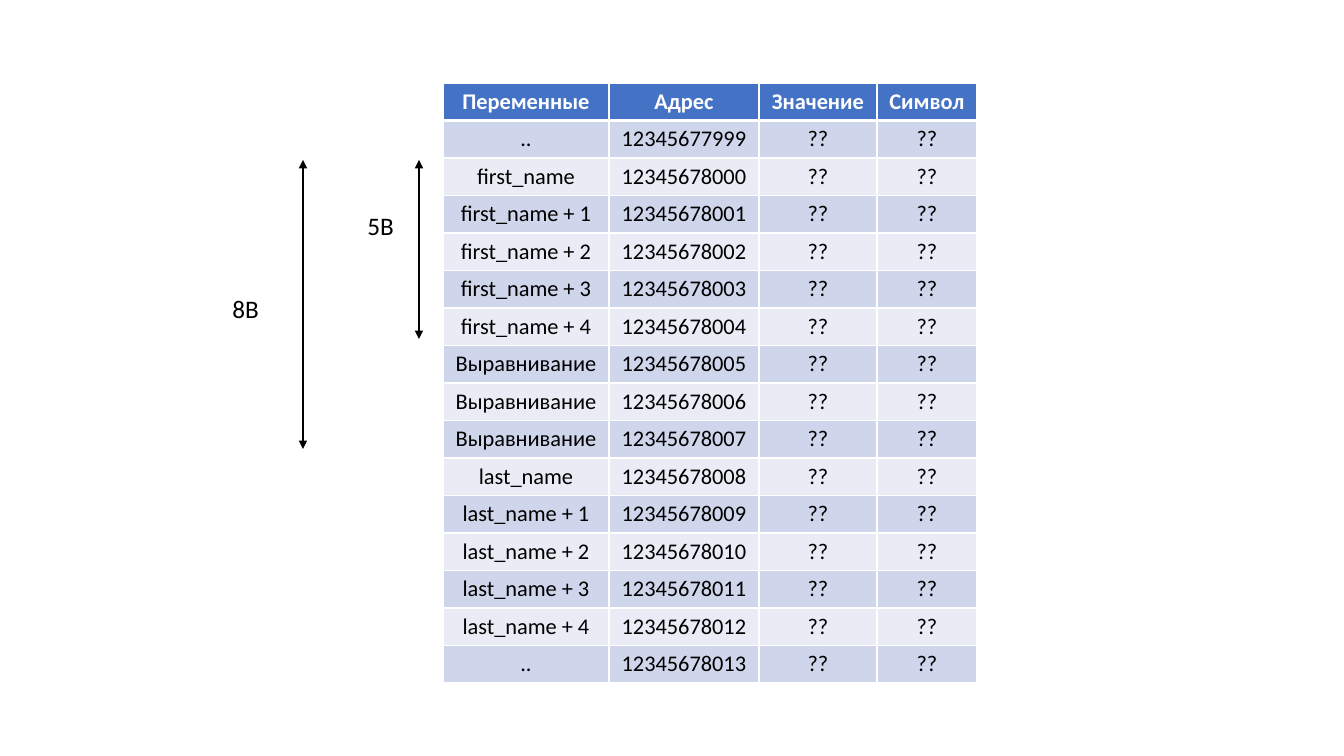
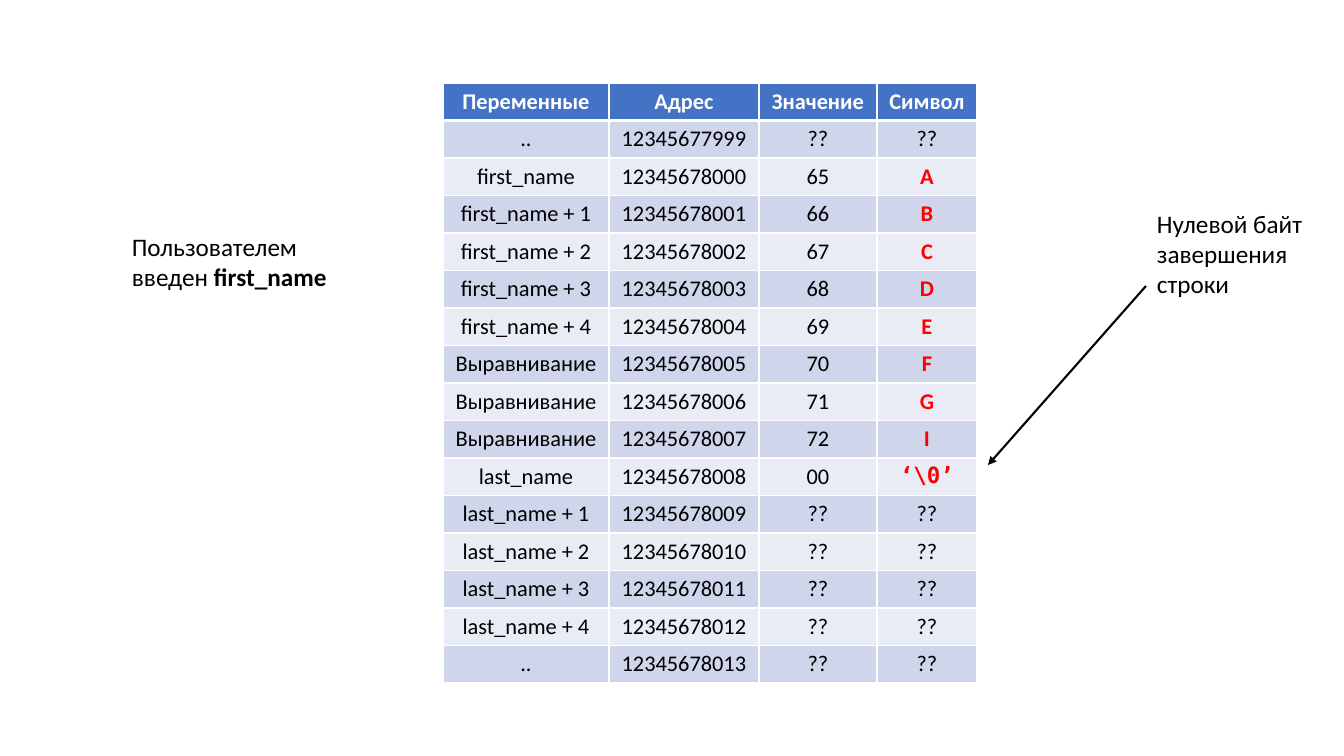
from lxml.etree import SubElement
from pptx import Presentation
from pptx.dml.color import RGBColor
from pptx.enum.shapes import MSO_CONNECTOR
from pptx.enum.text import MSO_AUTO_SIZE, PP_ALIGN
from pptx.oxml import parse_xml
from pptx.oxml.ns import nsdecls, qn
from pptx.util import Pt

EMU_PER_PX = 914400 / 100.8
BLACK, WHITE, RED = "000000", "FFFFFF", "FF0000"
HEADER_FILL = "4472C4"
BAND_FILLS = ["E9EBF5", "CFD5EA"]
FONT, CODE_FONT = "Calibri", "DejaVu Sans Mono"
color = RGBColor.from_string


def px(*lengths):
    """Turn pixel lengths into a list of EMU lengths."""
    return [round(length * EMU_PER_PX) for length in lengths]


def write(para, text, size=18, font=FONT, fill=BLACK, bold=False, align=None):
    """Append one formatted span to a paragraph."""
    para.alignment = align
    span = para.add_run()
    span.text = text
    span.font.size = Pt(size)
    span.font.name = font
    span.font.color.rgb = color(fill)
    span.font.bold = bold


HEADERS = ["Переменные", "Адрес", "Значение", "Символ"]
COLUMN_WIDTHS = [166, 150, 118, 100]
ROW_HEIGHT = 37
TABLE_LEFT, TABLE_TOP = 443, 83
UNKNOWN = "??"
OFFSETS = ["", " + 1", " + 2", " + 3", " + 4"]
VARIABLES = [
    "..",
    *["first_name" + offset for offset in OFFSETS],
    *["Выравнивание"] * 3,
    *["last_name" + offset for offset in OFFSETS],
    "..",
]
ADDRESSES = [12345677999, *range(12345678000, 12345678014)]
BYTES = [*zip(map(str, range(65, 73)), "ABCDEFGI"), ("00", r"‘\0’")]

# Arrows: start x, start y, end x, end y, head at the start.
# Labels: left, top, width, height, alignment, (text, bold) spans.
SLIDES = [
    {
        "bytes": [],
        "arrows": [(419, 160, 419, 339, True), (303, 160, 303, 449, True)],
        "labels": [
            (341, 205, 79, 40, PP_ALIGN.CENTER, [("5B", False)]),
            (206, 288, 79, 40, PP_ALIGN.CENTER, [("8B", False)]),
        ],
    },
    {
        "bytes": BYTES,
        "arrows": [(1146, 286, 988, 465, False)],
        "labels": [
            (122, 226, 230, 72, PP_ALIGN.LEFT,
             [("Пользователем введен ", False), ("first_name", True)]),
            (1147, 203, 177, 102, PP_ALIGN.LEFT,
             [("Нулевой байт завершения строки", False)]),
        ],
    },
]

deck = Presentation()
deck.slide_width, deck.slide_height = px(1344, 756)

for content in SLIDES:
    slide = deck.slides.add_slide(deck.slide_layouts[6])

    known = {row: pair for row, pair in enumerate(content["bytes"], start=1)}
    rows = [HEADERS]
    for index, (variable, address) in enumerate(zip(VARIABLES, ADDRESSES)):
        rows.append([variable, str(address), *known.get(index, (UNKNOWN, UNKNOWN))])

    frame = slide.shapes.add_table(
        len(rows), len(HEADERS),
        *px(TABLE_LEFT, TABLE_TOP, sum(COLUMN_WIDTHS), ROW_HEIGHT * len(rows)))
    table = frame.table
    for column, width in zip(table.columns, px(*COLUMN_WIDTHS)):
        column.width = width

    for row_index, row in enumerate(rows):
        table.rows[row_index].height = px(ROW_HEIGHT)[0]
        is_header = row_index == 0
        for column_index, text in enumerate(row):
            cell = table.cell(row_index, column_index)
            cell.fill.solid()
            cell.fill.fore_color.rgb = color(
                HEADER_FILL if is_header else BAND_FILLS[row_index % 2])

            is_symbol = column_index == 3 and not is_header and text != UNKNOWN
            write(cell.text_frame.paragraphs[0], text, size=16,
                  font=CODE_FONT if "\\" in text else FONT,
                  fill=WHITE if is_header else RED if is_symbol else BLACK,
                  bold=is_header or is_symbol, align=PP_ALIGN.CENTER)

            borders = {"lnL": 1, "lnR": 1,
                       "lnT": 3 if row_index == 1 else 1,
                       "lnB": 3 if is_header else 1}
            properties = cell._tc.get_or_add_tcPr()
            for position, (side, width) in enumerate(borders.items()):
                properties.insert(position, parse_xml(
                    f'<a:{side} {nsdecls("a")} w="{Pt(width)}"><a:solidFill>'
                    f'<a:srgbClr val="{WHITE}"/></a:solidFill></a:{side}>'))

    for *ends, two_headed in content["arrows"]:
        arrow = slide.shapes.add_connector(MSO_CONNECTOR.STRAIGHT, *px(*ends))
        arrow.line.color.rgb = color(BLACK)
        arrow.line.width = Pt(1.5)
        line = arrow.line._get_or_add_ln()
        for tag in ["a:headEnd", "a:tailEnd"] if two_headed else ["a:tailEnd"]:
            SubElement(line, qn(tag), type="triangle")
        SubElement(arrow._element.spPr, qn("a:effectLst"))

    for *area, align, spans in content["labels"]:
        box = slide.shapes.add_textbox(*px(*area))
        box.text_frame.word_wrap = True
        box.text_frame.auto_size = MSO_AUTO_SIZE.SHAPE_TO_FIT_TEXT
        for text, bold in spans:
            write(box.text_frame.paragraphs[0], text, bold=bold, align=align)

deck.save("out.pptx")
